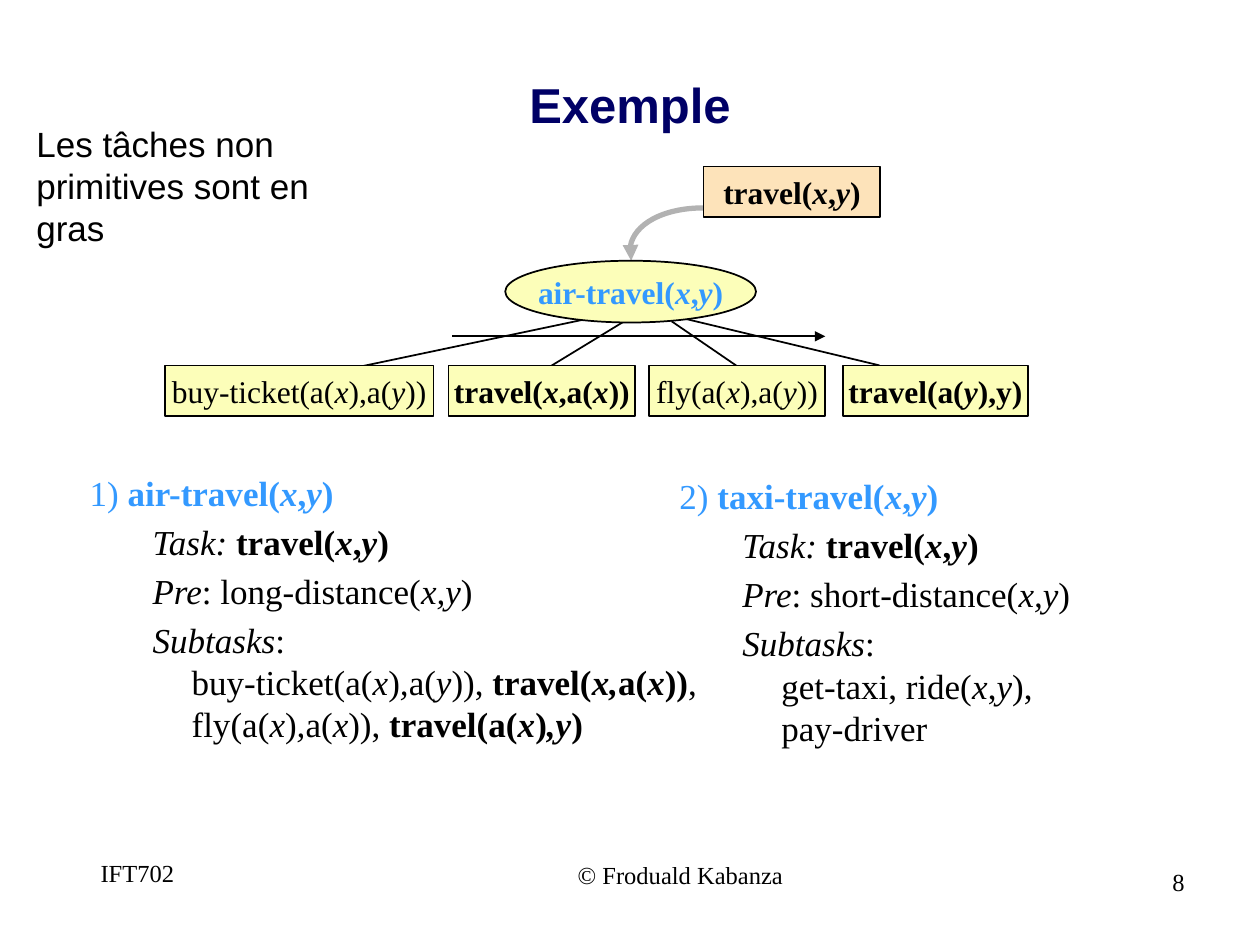
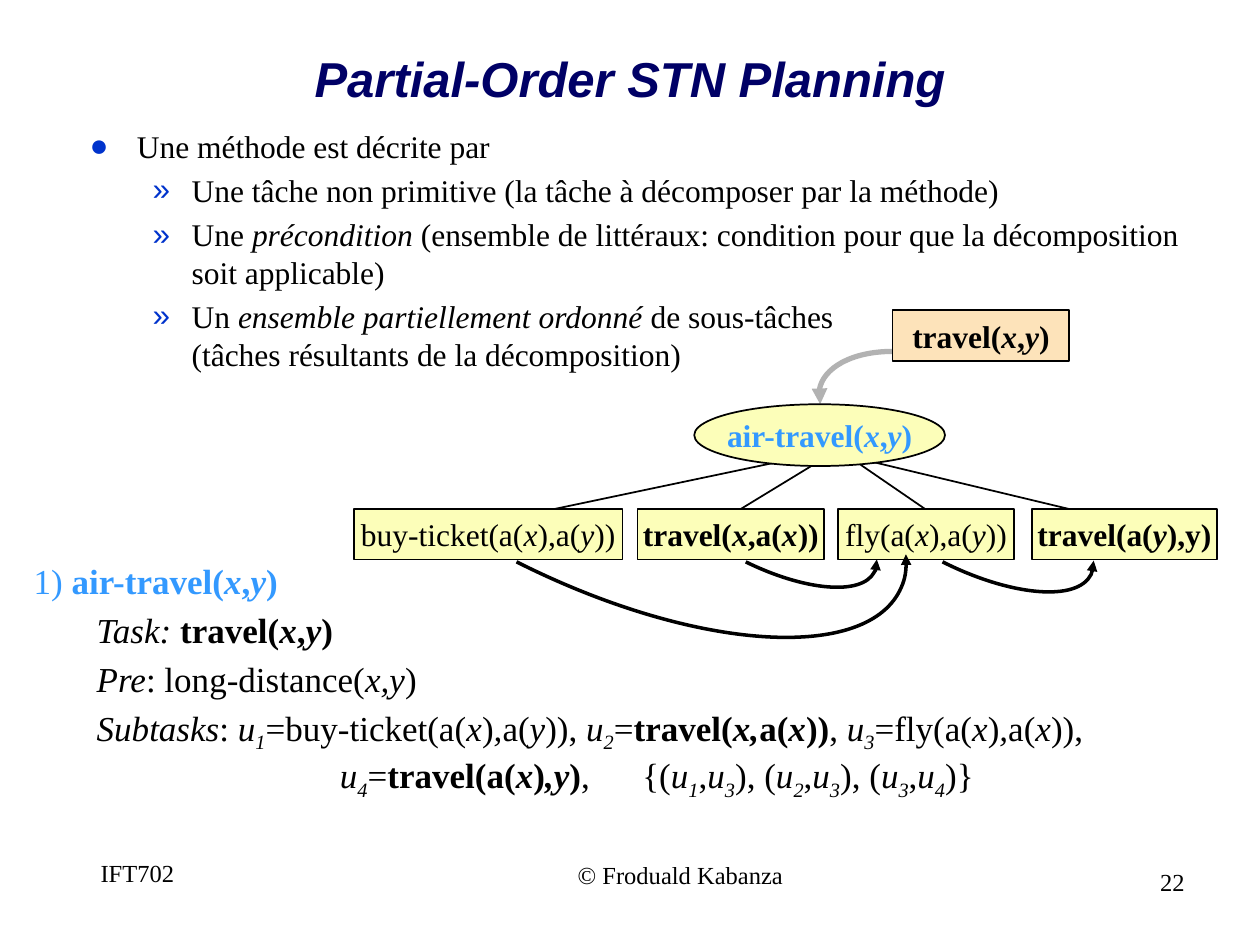
from lxml.etree import SubElement
from pptx import Presentation
from pptx.dml.color import RGBColor
from pptx.enum.shapes import MSO_CONNECTOR as Link, MSO_SHAPE as Shape
from pptx.enum.text import MSO_ANCHOR as Anchor, MSO_AUTO_SIZE as AutoSize, PP_ALIGN as Align
from pptx.oxml.ns import qn
from pptx.util import Pt

# Shared look
BLACK, NAVY, SKY, BULLET = "000000", "000066", "3399FF", "0033CC"
PEACH, YELLOW, GRAY = "FDE3BA", "FCFEB9", "B2B2B2"
SERIF, SANS = "Times New Roman", "Arial"

# Text marks: * bold, _ italic, ~ subscript, ^ wide space, \n line break
FOOTERS = [("IFT702", (43, 487, 71, 37), Align.CENTER),
           ("© Froduald Kabanza", (323, 488, 134, 37), Align.LEFT)]
NUMBER_BOX = (516, 492, 168, 37)

# Paragraph kinds: level, left margin, first-line indent, space before, bullet
KINDS = {
    "method": (0, 27, -27, 0.2, None),
    "part": (1, 58.3, -22.3, 0.2, None),
    "more": (1, 175, 0, 0, None),
    "point": (0, 27, -27, 0.2, "●"),
    "subpoint": (1, 58.3, -22.3, 0.2, "»"),
}

AIR_HEAD = [
    ("method", "1) *air-travel(_x_,_y_)*"),
    ("part", "_Task: _*travel(_x_,_y_)*"),
    ("part", "_Pre_: long-distance(_x,y_)"),
]
AIR_TOTAL = AIR_HEAD + [
    ("part", "_Subtasks_: \nbuy-ticket(a(_x_)_,_a(_y_)), *travel(_x,_a(_x_))*, \n"
             "fly(a(_x_)_,_a(_x_)), *travel(a(_x_)_,y_)*"),
]
TAXI = [
    ("method", "2) *taxi-travel(_x_,_y_)*"),
    ("part", "_Task: _*travel(_x_,_y_)*"),
    ("part", "_Pre_: short-distance(_x,y_)"),
    ("part", "_Subtasks_: \nget-taxi, ride(_x_,_y_), \npay-driver"),
]
AIR_PARTIAL = AIR_HEAD + [
    ("part", "_Subtasks_: _u~1~_=buy-ticket(a(_x_)_,_a(_y_)), _u~2~_=*travel(_x,_a(_x_))*, "
             "_u~3~_=fly(a(_x_)_,_a(_x_)),"),
    ("more", "_u~4~_=*travel(a(_x_)_,y_)*,^{(_u~1~_,_u~3~_), (_u~2~_,_u~3~_), (_u~3~_,_u~4~_)}"),
]
DEFINITION = [
    ("point", "Une méthode est décrite par"),
    ("subpoint", "Une tâche non primitive (la tâche à décomposer par la méthode)"),
    ("subpoint", "Une _précondition _(ensemble de littéraux: condition pour que la "
                 "décomposition soit applicable)"),
    ("subpoint", "Un _ensemble partiellement ordonné _de sous-tâches\n"
                 "(tâches résultants de la décomposition)"),
]
REMARK = "Les tâches non primitives sont en gras"

# Decomposition tree, as placed on the first slide
TASK = ("*travel(_x_,_y_)*", (402, 95.2, 101, 29))
METHOD = ("*air-travel(_x_,_y_)*", (288.7, 149, 143.3, 35.3))
SUBTASK_TOP, SUBTASK_HEIGHT = 208.8, 29
SUBTASKS = [  # text, left, width
    ("buy-ticket(a(_x_),a(_y_))", 94.3, 153.4),
    ("*travel(_x_,a(_x_))*", 256.3, 106.6),
    ("fly(a(_x_),a(_y_))", 370.8, 100.8),
    ("*travel(a(_y_),y)*", 481.7, 105.8),
]
BRANCHES = [((352.8, 178.6), (198.7, 211)), ((365, 178.6), (311.8, 211)),
            ((383.8, 183.6), (424.8, 211.7)), ((376.6, 178.6), (502.6, 208.8))]
TOTAL_ORDER = ((258.5, 192.2), (471.6, 192.2))
TASK_TO_METHOD = [(402, 118.8), (378.7, 118.8), (360, 129.6), (360, 143.3),
                  (360, 145.4), (360, 147), (360.7, 149)]
TREE_SHIFT = (108, 82)

# Ordering arrows of the second slide: start, then Bézier triples
PARTIAL_ORDER = [
    [(426.2, 321.1), (460.1, 337.7), (492.5, 340.6), (499.7, 326.9),
     (501.1, 324.7), (501.1, 322.6), (501.1, 319.7)],
    [(295.2, 321.1), (395.3, 371.5), (493.2, 378.7), (514.1, 337.7),
     (517, 331.9), (518.4, 324.7), (517.7, 316.8)],
    [(538.6, 321.1), (577.4, 340.6), (615.6, 344.2), (623.5, 328.3),
     (624.2, 326.2), (625, 323.3), (625, 320.4)],
]


def color(hex_code):
    return RGBColor.from_string(hex_code)


def write(paragraph, text, size, ink=BLACK, font=SERIF):
    """Add marked text as runs."""
    on = {"*": False, "_": False, "~": False}

    def add(words, wide=False):
        if not words:
            return
        run = paragraph.add_run()
        run.text = words
        run.font.size, run.font.name = Pt(size), font
        run.font.bold, run.font.italic = on["*"], on["_"]
        run.font.color.rgb = color(ink)
        props = run.font._element
        if on["~"]:
            props.set("baseline", "-25000")
        if wide:
            props.set("spc", "2500")

    words = ""
    for char in text:
        if char not in "*_~^\n":
            words += char
            continue
        add(words)
        words = ""
        if char == "\n":
            paragraph.add_line_break()
            SubElement(paragraph._p[-1], qn("a:rPr"), sz=str(size * 100))
        elif char == "^":
            add(" ", wide=True)
        else:
            on[char] = not on[char]
    add(words)


def write_list(frame, entries, size):
    frame.word_wrap, frame.auto_size = True, AutoSize.NONE
    frame.vertical_anchor = Anchor.TOP
    for i, (kind, text) in enumerate(entries):
        paragraph = frame.add_paragraph() if i else frame.paragraphs[0]
        level, margin, indent, before, bullet = KINDS[kind]
        paragraph.level = level
        paragraph.space_before = Pt(size * before)
        props = paragraph._p.get_or_add_pPr()
        props.set("marL", str(Pt(margin)))
        props.set("indent", str(Pt(indent)))
        if bullet:
            SubElement(SubElement(props, qn("a:buClr")), qn("a:srgbClr"), val=BULLET)
            SubElement(props, qn("a:buFont"), typeface=SANS)
            SubElement(props, qn("a:buChar"), char=bullet)
        else:
            SubElement(props, qn("a:buNone"))
        write(paragraph, text, size, SKY if kind == "method" else BLACK)


def place(shape, box):
    shape.left, shape.top, shape.width, shape.height = map(Pt, box)
    return shape.text_frame


def add_label(slide, text, box, size=14, align=Align.LEFT, font=SERIF):
    frame = slide.shapes.add_textbox(*map(Pt, box)).text_frame
    frame.word_wrap = True
    frame.paragraphs[0].alignment = align
    write(frame.paragraphs[0], text, size, font=font)


def add_node(slide, kind, text, box, fill, ink=BLACK):
    node = slide.shapes.add_shape(kind, *map(Pt, box))
    node.shadow.inherit = False
    node.fill.solid()
    node.fill.fore_color.rgb = color(fill)
    set_line(node, BLACK, 1)
    frame = node.text_frame
    frame.word_wrap, frame.vertical_anchor = False, Anchor.MIDDLE
    frame.paragraphs[0].alignment = Align.CENTER
    write(frame.paragraphs[0], text, 18, ink)


def set_line(shape, ink, width, arrow=False):
    shape.line.color.rgb = color(ink)
    shape.line.width = Pt(width)
    if arrow:
        SubElement(shape.line._get_or_add_ln(), qn("a:tailEnd"), type="triangle")


def add_link(slide, start, end, arrow=False):
    link = slide.shapes.add_connector(Link.STRAIGHT, *map(Pt, start + end))
    set_line(link, BLACK, 1, arrow)
    SubElement(link._element.spPr, qn("a:effectLst"))


def add_curve(slide, points, ink, width):
    start, *others = [(Pt(x), Pt(y)) for x, y in points]
    builder = slide.shapes.build_freeform(*start)
    builder.add_line_segments(others, close=False)
    curve = builder.convert_to_shape()
    # Each three segments become one Bézier segment
    segments = list(curve._element.iter(qn("a:lnTo")))
    for i in range(0, len(segments), 3):
        first, *rest = segments[i:i + 3]
        first.tag = qn("a:cubicBezTo")
        for segment in rest:
            first.append(segment[0])
            segment.getparent().remove(segment)
    curve.shadow.inherit = False
    curve.fill.background()
    set_line(curve, ink, width, arrow=True)


def add_tree(slide, shift=(0, 0)):
    def moved(spot):
        return (spot[0] + shift[0], spot[1] + shift[1]) + tuple(spot[2:])

    add_curve(slide, [moved(p) for p in TASK_TO_METHOD], GRAY, 3)
    add_node(slide, Shape.RECTANGLE, TASK[0], moved(TASK[1]), PEACH)
    for start, end in BRANCHES:
        add_link(slide, moved(start), moved(end))
    add_node(slide, Shape.OVAL, METHOD[0], moved(METHOD[1]), YELLOW, SKY)
    for text, left, width in SUBTASKS:
        box = (left, SUBTASK_TOP, width, SUBTASK_HEIGHT)
        add_node(slide, Shape.RECTANGLE, text, moved(box), YELLOW)


def add_slide(deck, layout, title, title_box, number):
    slide = deck.slides.add_slide(deck.slide_layouts[layout])
    frame = place(slide.shapes.title, title_box)
    frame.vertical_anchor, frame.auto_size = Anchor.BOTTOM, AutoSize.NONE
    frame.paragraphs[0].alignment = Align.CENTER
    write(frame.paragraphs[0], title, 28, NAVY, SANS)
    for text, box, align in FOOTERS:
        add_label(slide, text, box, align=align)
    add_label(slide, number, NUMBER_BOX, align=Align.RIGHT)
    return slide


def main():
    deck = Presentation()
    deck.slide_width, deck.slide_height = Pt(720), Pt(540)

    # Totally ordered example
    example = add_slide(deck, 3, "*Exemple*", (0, 23, 720, 57), "8")
    write_list(place(example.placeholders[1], (44, 265.7, 386, 204)), AIR_TOTAL, 20)
    write_list(place(example.placeholders[2], (381, 267.8, 322, 204)), TAXI, 20)
    add_label(example, REMARK, (13.7, 66.2, 200, 80), 20, font=SANS)
    add_tree(example)
    add_link(example, *TOTAL_ORDER, arrow=True)

    # Partially ordered method
    partial = add_slide(deck, 1, "*_Partial-Order STN Planning_*", (12, 15, 696, 50), "22")
    write_list(place(partial.placeholders[1], (44, 69, 648, 162)), DEFINITION, 18)
    add_tree(partial, TREE_SHIFT)
    for points in PARTIAL_ORDER:
        add_curve(partial, points, BLACK, 2)
    method_box = partial.shapes.add_textbox(*map(Pt, (12.2, 316, 684, 194)))
    write_list(method_box.text_frame, AIR_PARTIAL, 20)

    deck.save("out.pptx")


if __name__ == "__main__":
    main()
